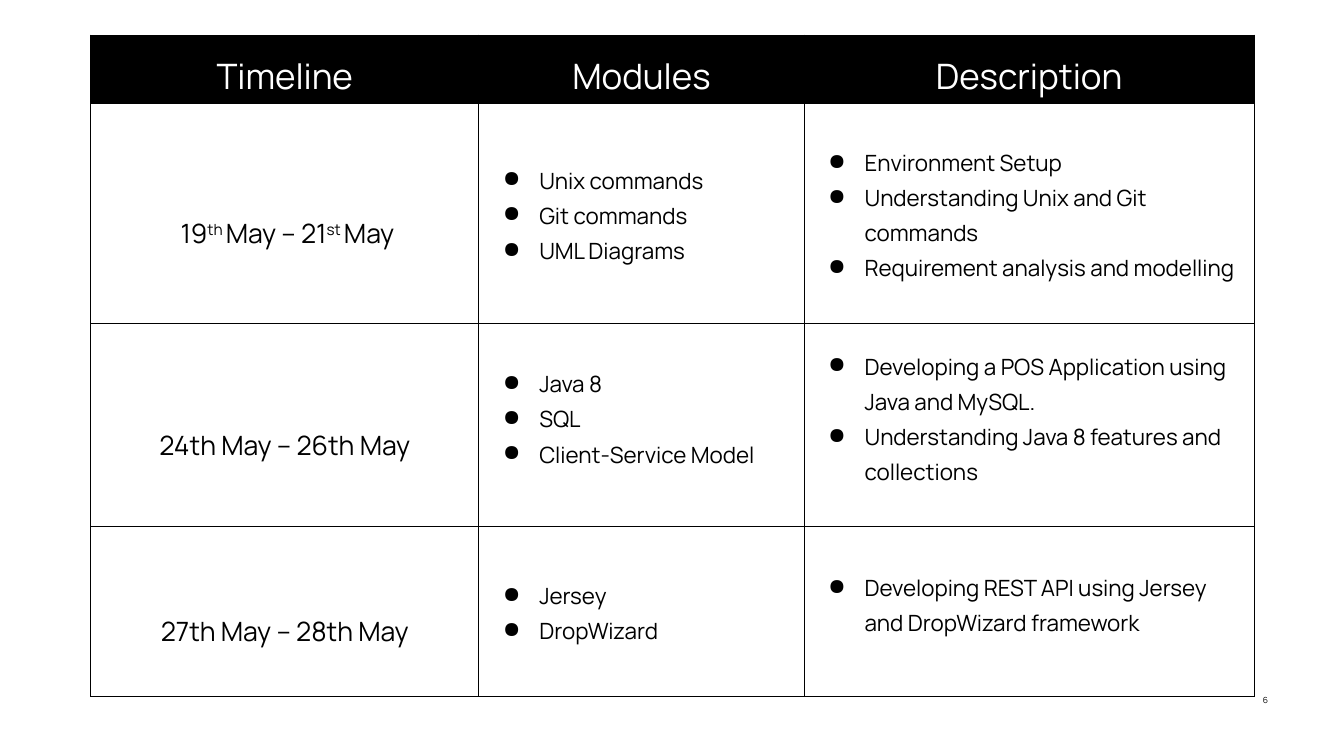
"""Build the timeline slide with its table of modules and descriptions."""
from dataclasses import dataclass

from lxml.etree import SubElement
from pptx import Presentation
from pptx.dml.color import RGBColor
from pptx.enum.text import MSO_ANCHOR, PP_ALIGN
from pptx.oxml.ns import qn
from pptx.util import Pt

FONT = "Manrope"
BLACK, WHITE = "000000", "FFFFFF"
WIDTHS = (277.2, 232.4, 321.4)
HEIGHTS = (47.5, 157, 145, 121.4)
INSET = 7.2
DROP = 25
LIFT = 11


@dataclass
class Entry:
    lines: tuple[str, ...]
    size: float = 16
    color: str = BLACK
    fill: str = ""
    bullet: bool = True
    top: float = INSET
    bottom: float = INSET


def color_of(value: str) -> RGBColor:
    return RGBColor.from_string(value)


def add_bullet(para) -> None:
    props = para._p.get_or_add_pPr()
    props.set("marL", str(Pt(36)))
    props.set("indent", str(Pt(-26)))
    tint = SubElement(props, qn("a:buClr"))
    SubElement(tint, qn("a:srgbClr"), val=BLACK)
    SubElement(props, qn("a:buChar"), char="●")


def write(frame, lines: tuple[str, ...], *, size: float, color: str = BLACK,
          align=PP_ALIGN.LEFT, bullet: bool = False, spacing: float = 1.0) -> None:
    for row, line in enumerate(lines):
        para = frame.add_paragraph() if row else frame.paragraphs[0]
        para.alignment = align
        para.line_spacing = spacing
        if bullet:
            add_bullet(para)
        for part, text in enumerate(line.split("^")):
            run = para.add_run()
            run.text = text
            run.font.name = FONT
            run.font.size = Pt(size)
            run.font.color.rgb = color_of(color)
            if part % 2:
                run._r.get_or_add_rPr().set("baseline", "30000")


def add_border(cell) -> None:
    props = cell._tc.get_or_add_tcPr()
    for side in ("lnL", "lnR", "lnT", "lnB"):
        line = SubElement(props, qn(f"a:{side}"), w=str(Pt(0.75)))
        paint = SubElement(line, qn("a:solidFill"))
        SubElement(paint, qn("a:srgbClr"), val=BLACK)


def draw_cell(cell, entry: Entry) -> None:
    add_border(cell)
    if entry.fill:
        cell.fill.solid()
        cell.fill.fore_color.rgb = color_of(entry.fill)
    else:
        cell.fill.background()
    cell.margin_left = cell.margin_right = Pt(INSET)
    cell.margin_top, cell.margin_bottom = Pt(entry.top), Pt(entry.bottom)
    cell.vertical_anchor = MSO_ANCHOR.MIDDLE
    write(cell.text_frame, entry.lines, size=entry.size, color=entry.color,
          align=PP_ALIGN.LEFT if entry.bullet else PP_ALIGN.CENTER,
          bullet=entry.bullet, spacing=1.15)


def head(text: str) -> Entry:
    return Entry((text,), size=25, color=WHITE, fill=BLACK, bullet=False)


def date(text: str) -> Entry:
    return Entry((text,), size=19, bullet=False, top=INSET + DROP)


def points(*lines: str, lift: float = 0) -> Entry:
    return Entry(lines, bottom=INSET + lift)


ROWS = (
    (head("Timeline"), head("Modules"), head("Description")),
    (date(" 19^th ^May – 21^st ^May"),
     points("Unix commands", "Git commands", "UML Diagrams"),
     points("Environment Setup", "Understanding Unix and Git commands",
            "Requirement analysis and modelling")),
    (date("24th May – 26th May"),
     points("Java 8", "SQL", "Client-Service Model", lift=LIFT),
     points("Developing a POS Application using Java and MySQL.",
            "Understanding Java 8 features and collections", lift=LIFT)),
    (date("27th May – 28th May"),
     points("Jersey", "DropWizard"),
     points("Developing REST API using Jersey and DropWizard framework",
            lift=LIFT)),
)


def draw_table(slide) -> None:
    table = slide.shapes.add_table(
        len(ROWS), len(WIDTHS), Pt(64.8), Pt(25),
        Pt(sum(WIDTHS)), Pt(sum(HEIGHTS))).table
    table.first_row = table.horz_banding = False
    for column, width in zip(table.columns, WIDTHS):
        column.width = Pt(width)
    for row, height, entries in zip(table.rows, HEIGHTS, ROWS):
        row.height = Pt(height)
        for cell, entry in zip(row.cells, entries):
            draw_cell(cell, entry)


def draw_number(slide) -> None:
    frame = slide.shapes.add_textbox(Pt(884.2), Pt(496.8), Pt(21.6), Pt(7.2)).text_frame
    frame.word_wrap = True
    frame.margin_left = frame.margin_right = frame.margin_top = frame.margin_bottom = Pt(0)
    frame.vertical_anchor = MSO_ANCHOR.MIDDLE
    write(frame, ("6",), size=6, align=PP_ALIGN.RIGHT)


def main() -> None:
    deck = Presentation()
    deck.slide_width, deck.slide_height = Pt(960), Pt(540)
    slide = deck.slides.add_slide(deck.slide_layouts[6])
    draw_number(slide)
    draw_table(slide)
    deck.save("out.pptx")


if __name__ == "__main__":
    main()
